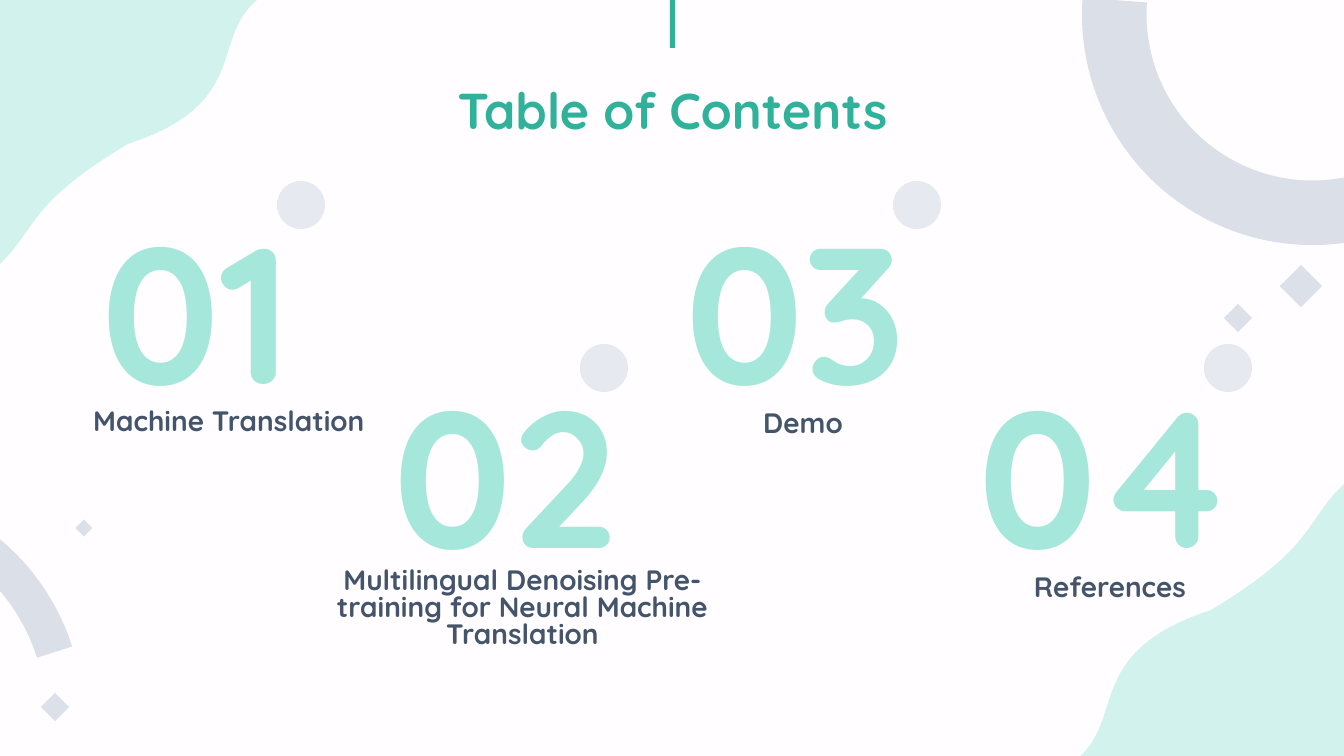
from dataclasses import dataclass

from lxml.etree import SubElement
from pptx import Presentation
from pptx.dml.color import RGBColor
from pptx.enum.shapes import MSO_SHAPE
from pptx.enum.text import MSO_ANCHOR, PP_ALIGN
from pptx.oxml.ns import qn
from pptx.util import Pt

EMU_PER_PX = 12192000 / 1344
CURVE_STEPS = 24


@dataclass(frozen=True)
class Theme:
    font: str = "Quicksand"
    background: str = "FFFDFF"
    accent: str = "30B29A"
    number: str = "A6E7DB"
    wave: str = "D2F3ED"
    ornament: str = "8497B0"
    dot: str = "D6DCE5"
    caption: str = "44546A"
    title_size: int = 36
    number_size: int = 138
    caption_size: int = 20


def px(length):
    return round(length * EMU_PER_PX)


def bezier(start, control_a, control_b, end):
    for step in range(1, CURVE_STEPS + 1):
        t = step / CURVE_STEPS
        weights = ((1 - t) ** 3, 3 * t * (1 - t) ** 2, 3 * t * t * (1 - t), t ** 3)
        yield tuple(
            sum(w * point[axis] for w, point in zip(weights, (start, control_a, control_b, end)))
            for axis in (0, 1)
        )


def write(frame, text, *, font, size, color, spacing=1.0, wrap=True, anchor=MSO_ANCHOR.TOP):
    frame.word_wrap = wrap
    frame.vertical_anchor = anchor
    paragraph = frame.paragraphs[0]
    paragraph.alignment = PP_ALIGN.CENTER
    paragraph.line_spacing = spacing
    run = paragraph.add_run()
    run.text = text
    run.font.name = font
    run.font.size = Pt(size)
    run.font.bold = True
    run.font.color.rgb = RGBColor.from_string(color)


class SlideBuilder:
    def __init__(self, slide, theme):
        self.slide = slide
        self.theme = theme
        slide.background.fill.solid()
        slide.background.fill.fore_color.rgb = RGBColor.from_string(theme.background)

    def paint(self, shape, color, opacity=100):
        shape.shadow.inherit = False
        shape.line.fill.background()
        shape.fill.solid()
        shape.fill.fore_color.rgb = RGBColor.from_string(color)
        if opacity < 100:
            tint = shape.fill._xPr.find(qn("a:solidFill"))[0]
            SubElement(tint, qn("a:alpha"), val=str(opacity * 1000))

    def preset(self, kind, box, color, opacity=100, rotation=0, adjustments=()):
        shape = self.slide.shapes.add_shape(kind, *map(px, box))
        shape.rotation = rotation
        for index, value in enumerate(adjustments):
            shape.adjustments[index] = value
        self.paint(shape, color, opacity)

    def ring(self, left, top, rotation, adjustments):
        self.preset(MSO_SHAPE.BLOCK_ARC, (left, top, 461, 461), self.theme.ornament, 29,
                    rotation, adjustments)

    def diamond(self, left, top, side):
        self.preset(MSO_SHAPE.RECTANGLE, (left, top, side, side), self.theme.ornament, 28, 315)

    def dot(self, left, top):
        self.preset(MSO_SHAPE.OVAL, (left, top, 48, 48), self.theme.dot, 60)

    def wave(self, corner, start, curves):
        outline = [start]
        for curve in curves:
            outline.extend(bezier(outline[-1], *curve))
        builder = self.slide.shapes.build_freeform(*map(px, corner), scale=1.0)
        builder.add_line_segments([(px(x), px(y)) for x, y in outline], close=True)
        self.paint(builder.convert_to_shape(), self.theme.wave)

    def text(self, text, box, **style):
        frame = self.slide.shapes.add_textbox(*map(px, box)).text_frame
        write(frame, text, font=self.theme.font, **style)


def main():
    presentation = Presentation()
    presentation.slide_width = px(1344)
    presentation.slide_height = px(756)
    theme = Theme()
    contents = SlideBuilder(presentation.slides.add_slide(presentation.slide_layouts[6]), theme)

    contents.ring(1082, -216, 225, (121.76, 191.51, 0.14))
    contents.ring(-378, 486, 42.5, (156.23, 179.91, 0.08))
    for diamond in ((1286, 271, 30), (1228, 308, 20), (45, 697, 20), (78, 522, 12)):
        contents.diamond(*diamond)

    sections = (
        (" Machine Translation", 266, (75, 402, 300, 49), 0.9, 277),
        ("Multilingual Denoising Pre-training for Neural Machine Translation",
         300, (297, 564, 451, 70), 0.8, 580),
        ("Demo", 297, (678, 404, 250, 113), 0.9, 893),
        ("References", 334, (985, 568, 250, 112), 0.9, 1204),
    )
    for index, (_, number_width, *_) in enumerate(sections):
        contents.text(f"{index + 1:02d} ",
                      (90 + 292 * index, 186 + 164 * (index % 2), number_width, 244),
                      size=theme.number_size, color=theme.number, wrap=False)

    contents.wave((1344, 759), (1077, 759), (
        ((1126, 719), (1083, 652), (1211, 610)),
        ((1316, 547), (1304, 522), (1344, 484)),
    ))
    contents.wave((-1, 0), (257, 0), (
        ((210, 39), (251, 104), (128, 144)),
        ((27, 204), (37, 229), (-1, 265)),
    ))

    contents.text("Table of Contents", (93, 40, 1159, 146), size=theme.title_size,
                  color=theme.accent, spacing=0.9, anchor=MSO_ANCHOR.MIDDLE)
    contents.preset(MSO_SHAPE.RECTANGLE, (670, 0, 5, 48), theme.accent)
    for index, (caption, _, caption_box, spacing, dot_left) in enumerate(sections):
        contents.text(caption, caption_box, size=theme.caption_size,
                      color=theme.caption, spacing=spacing)
        contents.dot(dot_left, 181 + 163 * (index % 2))

    presentation.save("out.pptx")


if __name__ == "__main__":
    main()
